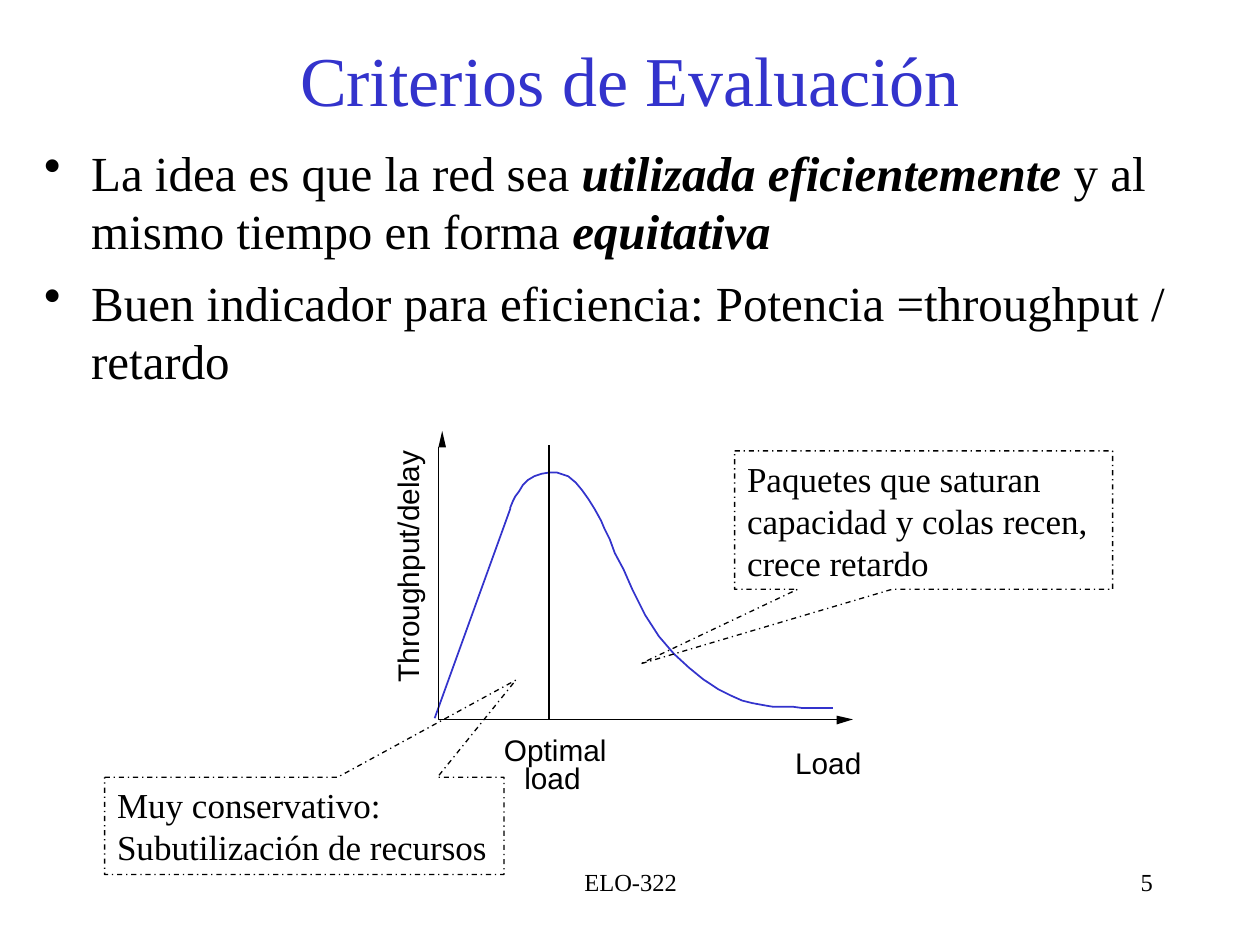
from lxml import etree
from pptx import Presentation
from pptx import util as u
from pptx.dml.color import RGBColor
from pptx.enum import dml, shapes, text
from pptx.oxml.ns import qn

BLUE, BLACK = "3333CC", "000000"
SERIF, SANS = "Times New Roman", "Arial"
LEFT, CENTER, RIGHT = text.PP_ALIGN.LEFT, text.PP_ALIGN.CENTER, text.PP_ALIGN.RIGHT


def color(value):
    return RGBColor.from_string(value)


def write(paragraph, runs, size, font=SERIF, fill=BLACK, align=LEFT):
    for content, emphasis in runs:
        run = paragraph.add_run()
        run.text = content
        if emphasis:
            run.font.bold = run.font.italic = True
    paragraph.alignment = align
    paragraph.font.size = u.Pt(size)
    paragraph.font.name = font
    paragraph.font.color.rgb = color(fill)


presentation = Presentation()
presentation.slide_width, presentation.slide_height = u.Cm(25.4), u.Cm(19.05)
slide = presentation.slides.add_slide(presentation.slide_layouts[6])

headings = [
    ("Criterios de Evaluación", (1.91, 0, 21.59, 3.18), 40, BLUE, CENTER, text.MSO_ANCHOR.MIDDLE),
    ("ELO-322", (8.69, 17.35, 8.05, 1.27), 14, BLACK, CENTER, text.MSO_ANCHOR.TOP),
    ("5", (18.21, 17.35, 5.28, 1.27), 14, BLACK, RIGHT, text.MSO_ANCHOR.TOP),
]
for content, box, size, fill, align, anchor in headings:
    frame = slide.shapes.add_textbox(*map(u.Cm, box)).text_frame
    frame.word_wrap = True
    frame.vertical_anchor = anchor
    write(frame.paragraphs[0], [(content, False)], size, fill=fill, align=align)

bullets = [
    [
        ("La idea es que la red sea ", False),
        ("utilizada eficientemente", True),
        (" y al mismo tiempo en forma ", False),
        ("equitativa", True),
    ],
    [("Buen indicador para eficiencia: Potencia =throughput / retardo", False)],
]
frame = slide.shapes.add_textbox(u.Cm(0.64), u.Cm(2.74), u.Cm(23.93), u.Cm(11.43)).text_frame
frame.word_wrap = True
for index, runs in enumerate(bullets):
    paragraph = frame.add_paragraph() if index else frame.paragraphs[0]
    write(paragraph, runs, 28)
    paragraph.space_before = u.Pt(7)
    properties = paragraph._p.get_or_add_pPr()
    properties.set("marL", str(u.Cm(0.95)))
    properties.set("indent", str(-u.Cm(0.95)))
    bullet = etree.Element(qn("a:buChar"), char="•")
    properties.find(qn("a:defRPr")).addprevious(bullet)

power_curve = [
    (345, 570), (405, 404), (405, 403), (407, 398), (409, 394), (412, 390), (415, 385),
    (419, 381), (424, 378), (430, 376), (436, 375), (442, 375), (448, 377), (451, 378),
    (457, 383), (462, 389), (467, 396), (472, 404), (477, 413), (480, 420), (484, 428),
    (488, 439), (495, 452), (502, 468), (512, 488), (523, 505), (535, 519), (547, 530),
    (558, 539), (570, 547), (580, 552), (589, 556), (597, 558), (608, 560), (614, 561),
    (630, 561), (637, 562), (661, 562),
]
axes = [(348, 355), (348, 571), (666, 571)]
load_arrow = [(664, 575), (677, 571), (664, 568)]
throughput_arrow = [(354, 355), (351, 342), (348, 355)]
outlines = [
    (power_curve, BLUE, False),
    (axes, BLACK, False),
    (load_arrow, BLACK, True),
    (throughput_arrow, BLACK, True),
]
for points, ink, solid in outlines:
    builder = slide.shapes.build_freeform(*points[0], scale=u.Cm(0.0254))
    builder.add_line_segments(points[1:], close=solid)
    shape = builder.convert_to_shape()
    shape.shadow.inherit = False
    if solid:
        shape.fill.solid()
        shape.fill.fore_color.rgb = color(ink)
        shape.line.fill.background()
    else:
        shape.fill.background()
        shape.line.color.rgb = color(ink)
        shape.line.width = u.Pt(1)

optimum = slide.shapes.add_connector(
    shapes.MSO_CONNECTOR.STRAIGHT, u.Cm(11.07), u.Cm(14.5), u.Cm(11.07), u.Cm(8.97)
)
optimum.line.color.rgb = color(BLACK)
optimum.line.width = u.Pt(1)
etree.SubElement(optimum._element.spPr, qn("a:effectLst"))

labels = [
    ("Optimal", 10.16, 14.76, 2.08, 0),
    ("load", 10.57, 15.32, 1.14, 0),
    ("Load", 16.03, 15.01, 1.35, 0),
    ("Throughput/delay", 5.57, 10.77, 5.27, 270),
]
for content, left, top, width, rotation in labels:
    label = slide.shapes.add_textbox(u.Cm(left), u.Cm(top), u.Cm(width), u.Cm(0.71))
    label.rotation = rotation
    frame = label.text_frame
    frame.word_wrap = False
    frame.margin_left = frame.margin_right = frame.margin_top = frame.margin_bottom = 0
    write(frame.paragraphs[0], [(content, False)], 17, SANS)

callouts = [
    ("Muy conservativo: Subutilización de recursos", (2.11, 15.67, 8.05, 1.96), (0.53, -1.5)),
    (
        "Paquetes que saturan capacidad y colas recen, crece retardo",
        (14.81, 9.09, 7.62, 2.79),
        (-0.75, 1.04),
    ),
]
for content, box, tip in callouts:
    callout = slide.shapes.add_shape(
        shapes.MSO_SHAPE.RECTANGULAR_CALLOUT, *map(u.Cm, box)
    )
    callout.adjustments[0], callout.adjustments[1] = tip
    callout.shadow.inherit = False
    callout.fill.background()
    callout.line.color.rgb = color(BLACK)
    callout.line.width = u.Pt(0.75)
    callout.line.dash_style = dml.MSO_LINE.DASH_DOT
    frame = callout.text_frame
    frame.word_wrap = True
    frame.vertical_anchor = text.MSO_ANCHOR.TOP
    write(frame.paragraphs[0], [(content, False)], 20)

presentation.save("out.pptx")
